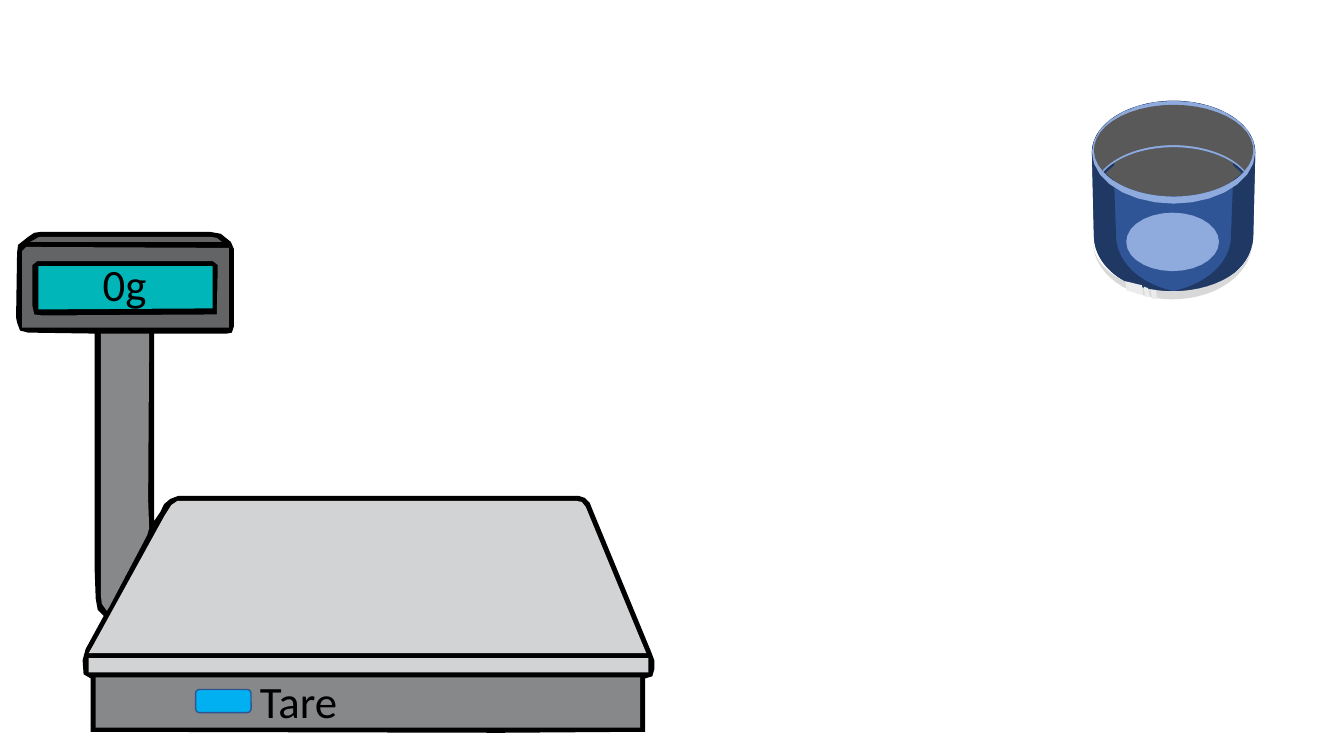
from math import cos, radians, sin
from pptx import Presentation
from pptx.dml.color import RGBColor as RGB
from pptx.enum.shapes import MSO_SHAPE as Kind
from pptx.enum.text import MSO_AUTO_SIZE as Fit
from pptx.util import Inches, Pt


class Theme:
    font, size = "Calibri", Pt(32)
    ink = RGB.from_string("000000")
    base = RGB.from_string("86888A")
    plate = RGB.from_string("D1D3D4")
    head = RGB.from_string("636466")
    screen = RGB.from_string("00B6B9")
    button = RGB.from_string("00B0F0")
    edge = RGB.from_string("325491")
    well = RGB.from_string("595959")
    cup = RGB.from_string("2F5597")
    side = RGB.from_string("203864")
    rim = RGB.from_string("8FAADC")
    foot = RGB.from_string("D8D8D8")
    mark = RGB.from_string("ECECEC")


def arc(x, y, rx, ry, start, end, steps=28):
    """Points in inches along an ellipse; degrees run clockwise from the right."""
    turns = [radians(start + (end - start) * i / steps) for i in range(steps + 1)]
    return [(x + rx * cos(t), y + ry * sin(t)) for t in turns]


def draw(fill, *loops):
    """Fill one freeform made of closed loops; an inner loop cuts a hole."""
    pen = None
    for loop in loops:
        dots = [(Inches(x), Inches(y)) for x, y in loop]
        if pen is None:
            pen = slide.shapes.build_freeform(*dots[0])
        else:
            pen.move_to(*dots[0])
        pen.add_line_segments(dots[1:], close=True)
    shape = pen.convert_to_shape()
    shape.shadow.inherit = False
    shape.fill.solid()
    shape.fill.fore_color.rgb = fill
    shape.line.fill.background()
    return shape


deck = Presentation()
deck.slide_width, deck.slide_height = Inches(13.33), Inches(7.5)
slide = deck.slides.add_slide(deck.slide_layouts[6])

# Scale: black outline, then the coloured parts inside it
draw(Theme.ink, [
    (6.49, 6.64), (6.47, 6.71), (6.4, 6.73), (6.4, 7.26), (4.96, 7.27),
    (0.9, 7.26), (0.9, 6.73), (0.83, 6.69), (0.82, 6.55), (0.85, 6.44),
    (1.03, 6.11), (0.97, 6.05), (0.95, 5.94), (0.94, 5.67), (0.94, 3.31),
    (0.28, 3.3), (0.2, 3.28), (0.17, 3.2), (0.16, 3.15), (0.17, 2.51),
    (0.18, 2.43), (0.28, 2.35), (0.34, 2.31), (0.41, 2.3), (2.08, 2.3),
    (2.19, 2.32), (2.29, 2.4), (2.32, 2.47), (2.32, 3.24), (2.3, 3.3),
    (2.25, 3.31), (1.53, 3.31), (1.53, 5.17), (1.59, 5.08), (1.63, 5),
    (1.69, 4.95), (1.77, 4.92), (5.74, 4.92), (5.8, 4.94), (5.85, 4.99),
    (5.89, 5.09), (6.46, 6.47), (6.49, 6.55)])
draw(Theme.base,
     [(0.95, 6.72), (6.35, 6.72), (6.35, 7.22), (0.95, 7.22)],
     [(1.08, 6.03), (1.46, 5.31), (1.48, 5.24), (1.47, 4.96), (1.48, 3.31),
      (1, 3.31), (1, 5.89), (1.01, 5.99), (1.06, 6.06)])
draw(Theme.plate,
     [(0.88, 6.48), (0.92, 6.41), (1.63, 5.12), (1.7, 5.01), (1.76, 4.97),
      (5.72, 4.97), (5.77, 4.98), (5.81, 5.03), (6.33, 6.29), (6.41, 6.48)],
     [(0.88, 6.53), (6.43, 6.53), (6.43, 6.67), (0.88, 6.67)])
draw(Theme.head,
     [(2.27, 2.46), (2.27, 3.25), (0.22, 3.25), (0.22, 2.49), (0.26, 2.45)],
     [(2.15, 3.12), (2.16, 2.63), (2.11, 2.59), (0.37, 2.59), (0.32, 2.63),
      (0.32, 3.03), (0.34, 3.12), (0.42, 3.13)],
     [(2.09, 2.35), (0.39, 2.35), (0.3, 2.4), (2.2, 2.4), (2.15, 2.36)])
draw(Theme.screen, [(0.38, 2.64), (2.11, 2.64), (2.11, 3.06), (0.38, 3.07)])

button = slide.shapes.add_shape(
    Kind.ROUNDED_RECTANGLE, Inches(1.94), Inches(6.84), Inches(0.55), Inches(0.23))
button.shadow.inherit = False
button.fill.solid()
button.fill.fore_color.rgb = Theme.button
button.line.color.rgb = Theme.edge
button.line.width = Pt(1)

for text, x, y, width, wrap in (("Tare", 2.48, 6.63, 1.19, True),
                                ("0g", 0.92, 2.5, 0.64, False)):
    box = slide.shapes.add_textbox(Inches(x), Inches(y), Inches(width), Inches(0.64))
    frame = box.text_frame
    frame.word_wrap = wrap
    frame.auto_size = Fit.SHAPE_TO_FIT_TEXT
    run = frame.paragraphs[0].add_run()
    run.text = text
    for name, value in {"name": Theme.font, "size": Theme.size}.items():
        setattr(run.font, name, value)
    run.font.color.rgb = Theme.ink

# Cup: all curves share the middle line
mid = 11.64
floor = arc(mid, 1.49, 0.79, 0.46, 149, 29) + arc(mid, 1.92, 0.79, 0.46, 332, 208)
draw(Theme.well, arc(11.65, 1.62, 0.74, 0.38, 0, 360))
draw(Theme.cup,
     arc(mid, 1.51, 0.81, 0.51, 180, 360) + arc(mid, 2.34, 0.79, 0.57, 0, 180), floor)
left = (arc(mid, 1.51, 0.81, 0.51, 180, 278)
        + arc(11.86, 1.53, 0.81, 0.52, 262, 180)
        + [(11.05, 1.64), (10.96, 1.72), (11.05, 1.79)]
        + arc(11.86, 2.34, 0.79, 0.57, 180, 98)
        + arc(mid, 2.34, 0.79, 0.57, 82, 180))
for side in (left, [(2 * mid - x, y) for x, y in left]):
    draw(Theme.side, side)
draw(Theme.foot,
     arc(11.63, 2.4, 0.79, 0.57, 0, 180) + arc(11.63, 2.4, 0.79, 0.49, 180, 0))
draw(Theme.rim, arc(11.63, 2.4, 0.46, 0.29, 0, 360))
for mark in ([(11.17, 2.78), (11.33, 2.84), (11.33, 2.94), (11.17, 2.87)],
             [(11.35, 2.84), (11.39, 2.86), (11.4, 2.95), (11.35, 2.94)],
             [(11.42, 2.87), (11.47, 2.88), (11.47, 2.97), (11.42, 2.96)]):
    draw(Theme.mark, mark).rotation = 353.2
draw(Theme.rim, arc(mid, 1.51, 0.81, 0.51, 0, 360), floor)
draw(Theme.well,
     arc(mid, 1.49, 0.79, 0.45, 153, 387) + arc(mid, 1.9, 0.79, 0.46, 332, 208))

deck.save("out.pptx")
